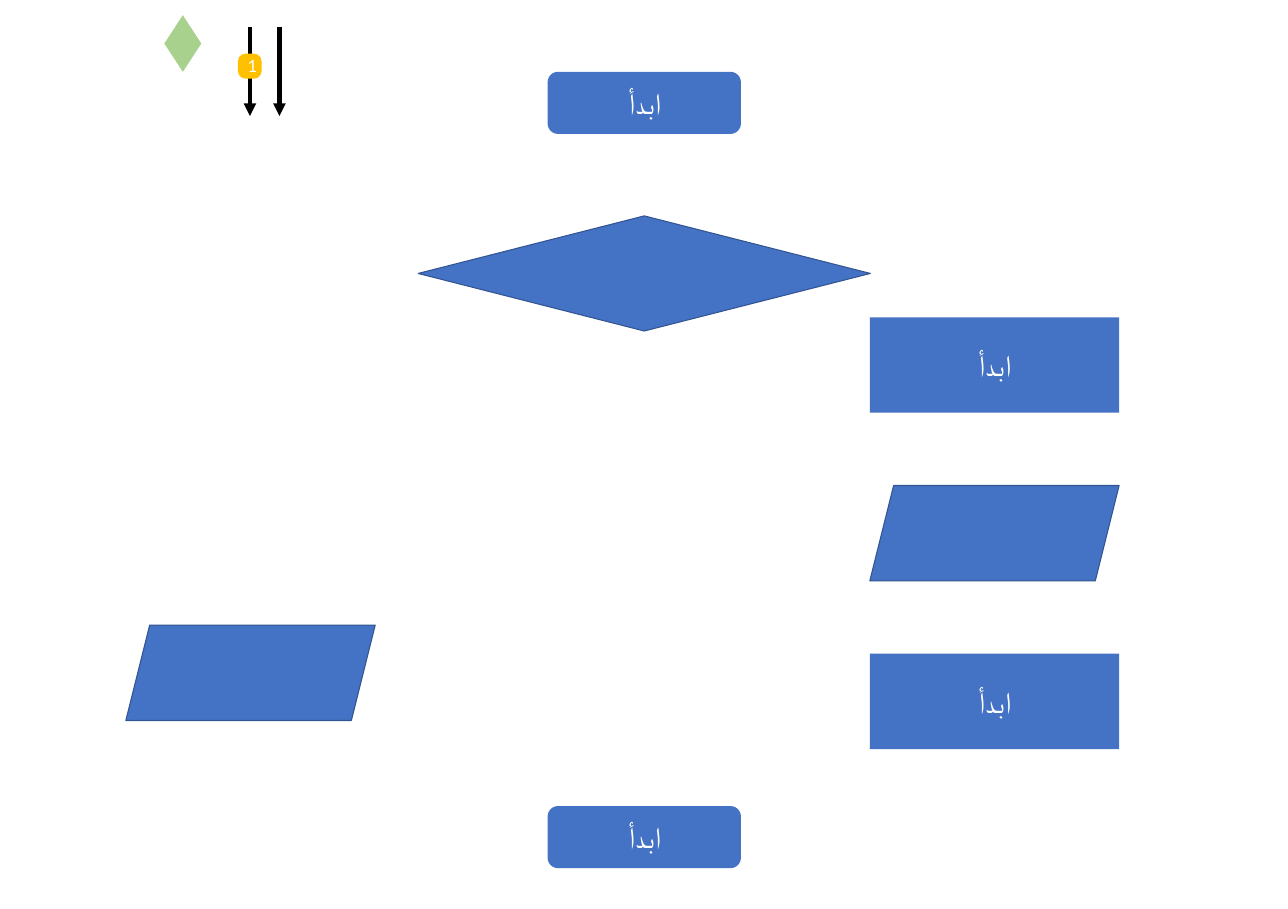
import pptx
import pptx.util
import pptx.dml.color
import pptx.enum.shapes
import pptx.enum.text
import pptx.oxml.ns
import lxml.etree

Cm = pptx.util.Cm
Pt = pptx.util.Pt
KIND = pptx.enum.shapes.MSO_SHAPE
BLUE, EDGE, GREEN, GOLD = "4472C4", "325491", "A9D18E", "FFC000"
START = "ابدأ"


def paint(part, code):
    """Give a fill or a line a solid colour."""
    part.solid()
    part.fore_color.rgb = pptx.dml.color.RGBColor.from_string(code)


def add(root, tag, **attrs):
    return lxml.etree.SubElement(root, pptx.oxml.ns.qn(tag), attrs)


def label(shape, text, size, rtl):
    """Write white centred text in a shape."""
    frame = shape.text_frame
    frame.text = text
    frame.word_wrap = True
    frame.vertical_anchor = pptx.enum.text.MSO_ANCHOR.MIDDLE
    line = frame.paragraphs[0]
    line.alignment = pptx.enum.text.PP_ALIGN.CENTER
    if rtl:
        line._p.get_or_add_pPr().set("rtl", "1")
    font = line.runs[0].font
    font.size = Pt(size)
    font.name = "Lato"
    paint(font.fill, "FFFFFF")
    add(font._element, "a:cs", typeface="Lato")


def block(slide, kind, box, fill, edge=None, bend=None):
    """Draw a filled shape, with a thin edge if asked."""
    shape = slide.shapes.add_shape(kind, *[Cm(side) for side in box])
    shape.shadow.inherit = False
    paint(shape.fill, fill)
    if edge:
        paint(shape.line.fill, edge)
        shape.line.width = Pt(1)
    else:
        shape.line.fill.background()
    if bend is not None:
        shape.adjustments[0] = bend
    return shape


def arrow(slide, left, top, end):
    """Draw a black arrow that points down."""
    link = slide.shapes.add_connector(
        pptx.enum.shapes.MSO_CONNECTOR.STRAIGHT,
        Cm(left), Cm(top), Cm(left), Cm(end))
    paint(link.line.fill, "000000")
    link.line.width = Pt(4)
    add(link.line._get_or_add_ln(), "a:tailEnd", type="triangle")
    add(link._element.spPr, "a:effectLst")


def main():
    deck = pptx.Presentation()
    deck.slide_width, deck.slide_height = Cm(43.18), Cm(30.48)
    slide = deck.slides.add_slide(deck.slide_layouts[6])

    # Start and end
    for top in (2.41, 27.03):
        shape = block(slide, KIND.ROUNDED_RECTANGLE,
                      (18.36, top, 6.48, 2.08), BLUE)
        label(shape, START, 28, True)

    # Spare diamond, arrows and number badge
    block(slide, KIND.DIAMOND, (5.51, 0.51, 1.24, 1.9), GREEN)
    for left in (8.38, 9.37):
        arrow(slide, left, 0.91, 3.89)
    badge = block(slide, KIND.ROUNDED_RECTANGLE,
                  (7.98, 1.8, 0.79, 0.84), GOLD, bend=0.32)
    label(badge, "1", 16, False)

    # Decision
    block(slide, KIND.DIAMOND, (14.02, 7.24, 15.16, 3.86), BLUE, EDGE)

    # Right branch: step, data, step
    left, top, pitch, wide, high = 29.16, 10.64, 5.64, 8.36, 3.2
    for row in (0, 2):
        step = block(slide, KIND.ROUNDED_RECTANGLE,
                     (left, top + row * pitch, wide, high), BLUE, bend=0)
        label(step, START, 28, True)

    # Data on the right and on the left
    for spot in ((left, top + pitch), (4.22, 20.96)):
        block(slide, KIND.PARALLELOGRAM, (*spot, wide, high), BLUE, EDGE)

    deck.save("out.pptx")


if __name__ == "__main__":
    main()
